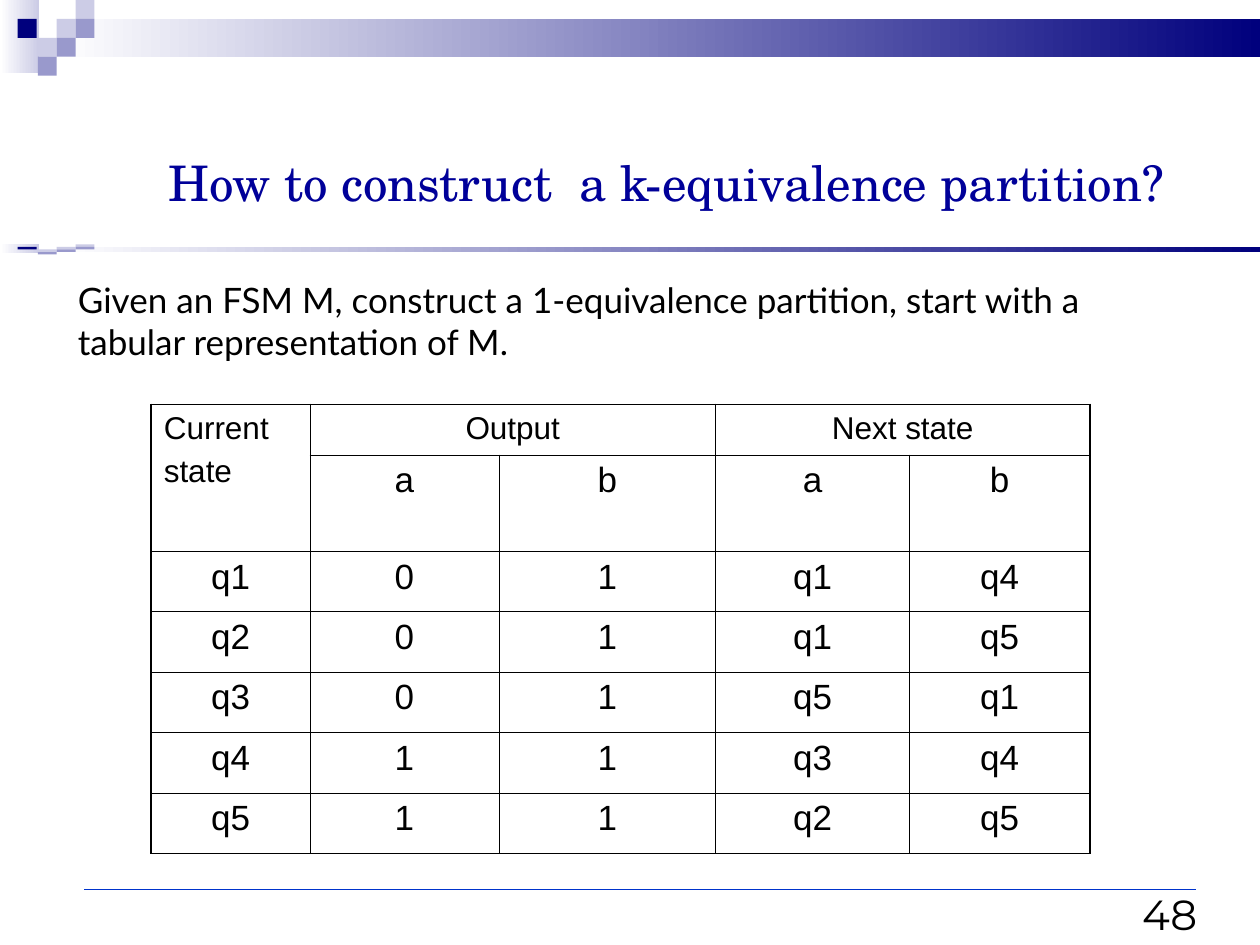
import pptx
import pptx.dml.color
import pptx.enum.dml
import pptx.enum.shapes
import pptx.enum.text
import pptx.oxml.ns
import pptx.util
from lxml import etree

Inches = pptx.util.Inches
Pt = pptx.util.Pt
ALIGN = pptx.enum.text.PP_ALIGN
ANCHOR = pptx.enum.text.MSO_ANCHOR
SHAPES = pptx.enum.shapes

TITLE = "How to construct  a k-equivalence partition?"
INTRO = ("Given an FSM M, construct a 1-equivalence partition, "
         "start with a tabular representation of M.")
PAGE_NUMBER = "48"
STATE_ROWS = [
    ["Current\nstate", "Output", None, "Next state", None],
    [None, "a", "b", "a", "b"],
    ["q1", "0", "1", "q1", "q4"],
    ["q2", "0", "1", "q1", "q5"],
    ["q3", "0", "1", "q5", "q1"],
    ["q4", "1", "1", "q3", "q4"],
    ["q5", "1", "1", "q2", "q5"],
]
HEADING_SPANS = [((0, 0), (1, 0)), ((0, 1), (0, 2)), ((0, 3), (0, 4))]
COLUMN_WIDTHS = [1.26, 1.5, 1.72, 1.54, 1.43]
ROW_HEIGHTS = [0.4, 0.76] + [0.48] * 5

THEME = {
    "white": "FFFFFF", "pale": "CCCCE6", "mid": "9999CC", "navy": "00007D",
    "title": "000099", "rule": "0033CC", "ink": "000000",
    "title_font": "TeX Gyre Schola", "body_font": "Lato",
    "number_font": "Montserrat", "table_font": "Arial",
    "title_size": 28, "body_size": 20, "number_size": 24,
    "heading_size": 18, "cell_size": 20,
    "outer_border": 1.08, "inner_border": 0.45, "rule_width": 0.75,
}

BANDS = [(0, 0.15, 0.58), (1.94, 0.02, 0.07)]
SQUARE_WIDTH = 0.15
SQUARE_LEFTS = [0.14, 0.3, 0.45, 0.6]
SQUARES = [(2, 1, "pale"), (3, 0, "pale"), (3, 1, "mid"), (1, 2, "pale"),
           (0, 1, "navy"), (2, 2, "mid"), (1, 3, "mid")]


def color(name):
    return pptx.dml.color.RGBColor.from_string(THEME[name])


def write(frame, text, font, size, ink="ink", align=ALIGN.LEFT, space_before=0):
    for index, line in enumerate(text.split("\n")):
        paragraph = frame.add_paragraph() if index else frame.paragraphs[0]
        paragraph.alignment = align
        if index:
            paragraph.space_before = Pt(space_before)
        run = paragraph.add_run()
        run.text = line
        run.font.name = THEME[font]
        run.font.size = Pt(THEME[size])
        run.font.color.rgb = color(ink)


def add_text(slide, box, text, anchor=ANCHOR.TOP, **text_format):
    frame = slide.shapes.add_textbox(*map(Inches, box)).text_frame
    frame.word_wrap = True
    frame.vertical_anchor = anchor
    write(frame, text, **text_format)
    return frame


def add_block(slide, box, *tones):
    block = slide.shapes.add_shape(SHAPES.MSO_SHAPE.RECTANGLE, *map(Inches, box))
    block.shadow.inherit = False
    block.line.fill.background()
    if len(tones) == 1:
        block.fill.solid()
        block.fill.fore_color.rgb = color(tones[0])
        return
    block.fill.gradient()
    block.fill.gradient_angle = 0
    for stop, tone in zip(block.fill.gradient_stops, tones):
        stop.color.rgb = color(tone)


def add_band(slide, top, unit, fade_height):
    add_block(slide, (0, top, 0.31, fade_height), "white", "pale")
    add_block(slide, (0.45, top + unit, 9.55, 2 * unit), "white", "navy")
    for column, row, tone in SQUARES:
        add_block(slide, (SQUARE_LEFTS[column], top + row * unit,
                          SQUARE_WIDTH, unit), tone)


def add_footer_rule(slide):
    rule = slide.shapes.add_connector(SHAPES.MSO_CONNECTOR.STRAIGHT,
                                      *map(Inches, (0.67, 7.06, 9.49, 7.06)))
    rule.line.color.rgb = color("rule")
    rule.line.width = Pt(THEME["rule_width"])
    etree.SubElement(rule._element.spPr, pptx.oxml.ns.qn("a:effectLst"))


def set_borders(cell, outer_sides):
    properties = cell._tc.get_or_add_tcPr()
    for side in "LRTB":
        weight = "outer_border" if side in outer_sides else "inner_border"
        border = etree.SubElement(properties, pptx.oxml.ns.qn(f"a:ln{side}"),
                                  w=str(Pt(THEME[weight])))
        fill = etree.SubElement(border, pptx.oxml.ns.qn("a:solidFill"))
        etree.SubElement(fill, pptx.oxml.ns.qn("a:srgbClr"), val=THEME["ink"])


def add_state_table(slide):
    row_count, column_count = len(ROW_HEIGHTS), len(COLUMN_WIDTHS)
    box = (1.2, 3.21, sum(COLUMN_WIDTHS), sum(ROW_HEIGHTS))
    table = slide.shapes.add_table(row_count, column_count, *map(Inches, box)).table
    table.first_row = table.horz_banding = False
    for column, width in zip(table.columns, COLUMN_WIDTHS):
        column.width = Inches(width)
    for row, height in zip(table.rows, ROW_HEIGHTS):
        row.height = Inches(height)
    for first, last in HEADING_SPANS:
        table.cell(*first).merge(table.cell(*last))
    for r, values in enumerate(STATE_ROWS):
        for c, value in enumerate(values):
            cell = table.cell(r, c)
            edges = {"L": c == 0, "R": c == column_count - 1,
                     "T": r == 0, "B": r == row_count - 1}
            if (r, c) == (0, 3):
                edges["R"] = True
            set_borders(cell, [side for side, outer in edges.items() if outer])
            cell.fill.background()
            if value is not None:
                write(cell.text_frame, value, font="table_font",
                      size="cell_size" if r else "heading_size",
                      align=ALIGN.CENTER if r or c else ALIGN.LEFT,
                      space_before=4.5)


def main():
    deck = pptx.Presentation()
    deck.slide_width, deck.slide_height = Inches(10), Inches(7.5)
    slide = deck.slides.add_slide(deck.slide_layouts[6])
    for band in BANDS:
        add_band(slide, *band)
    add_footer_rule(slide)
    add_text(slide, (8.86, 6.93, 0.74, 0.57), PAGE_NUMBER, ANCHOR.BOTTOM,
             font="number_font", size="number_size", align=ALIGN.RIGHT)
    add_text(slide, (1.24, 1.09, 8.52, 0.71), TITLE, ANCHOR.MIDDLE,
             font="title_font", size="title_size", ink="title")
    intro = add_text(slide, (0.52, 2.16, 8.83, 0.77), INTRO,
                     font="body_font", size="body_size")
    intro.auto_size = pptx.enum.text.MSO_AUTO_SIZE.SHAPE_TO_FIT_TEXT
    add_state_table(slide)
    deck.save("out.pptx")


if __name__ == "__main__":
    main()
